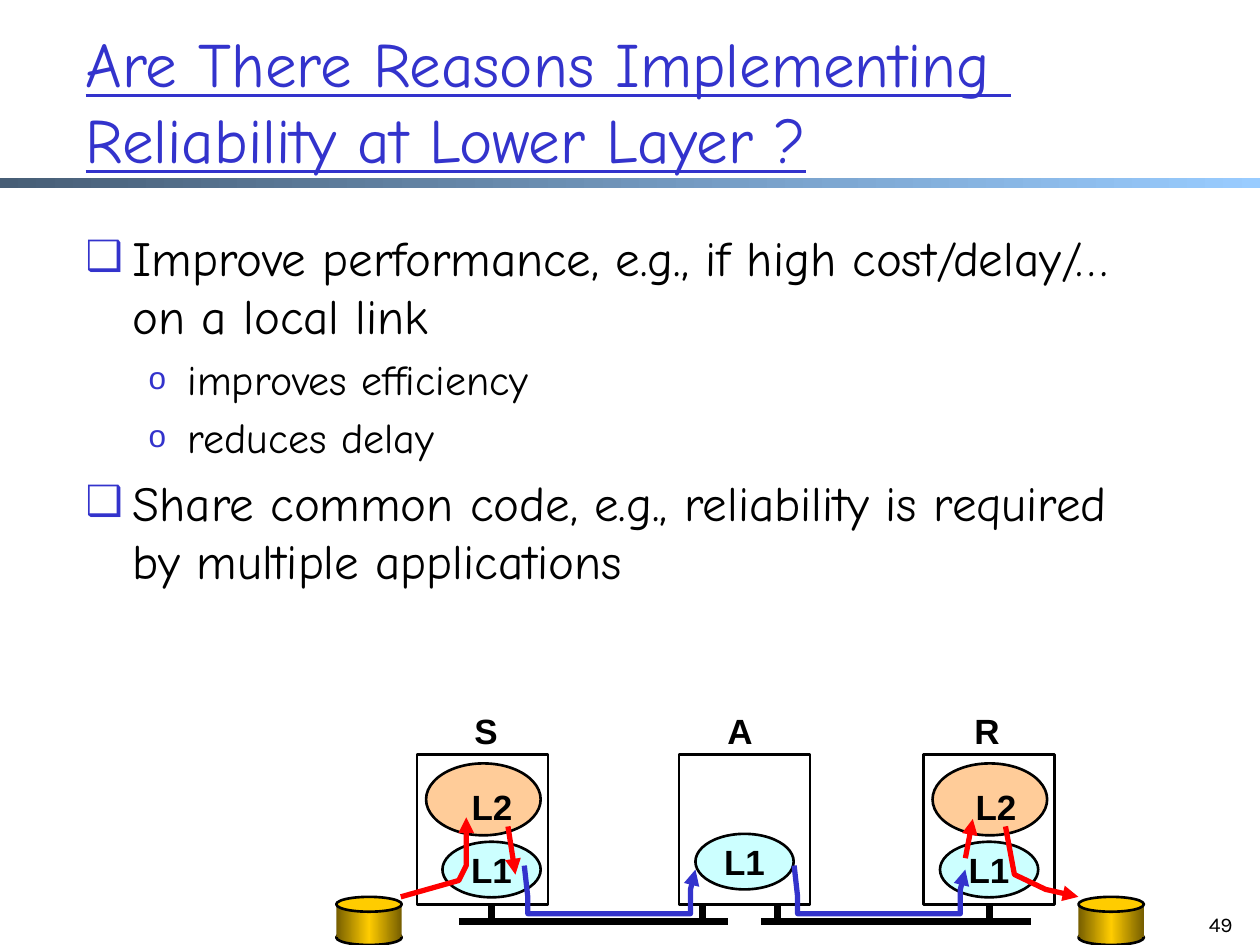
from copy import deepcopy

from lxml.etree import SubElement
from pptx import Presentation
from pptx.dml.color import RGBColor
from pptx.enum.shapes import MSO_CONNECTOR, MSO_SHAPE
from pptx.enum.text import MSO_ANCHOR, MSO_AUTO_SIZE, PP_ALIGN
from pptx.oxml.ns import qn
from pptx.util import Cm, Pt

COLORS = {
    "black": "000000", "blue": "3333CC", "red": "FF0000", "peach": "FFCC99",
    "cyan": "CCFFFF", "gold": "FFCC00", "brown": "765E00",
    "slate": "475E76", "sky": "99CCFF",
}
rgb = {name: RGBColor.from_string(value) for name, value in COLORS.items()}
LABEL = {"name": "Arial", "size": Pt(20), "bold": True}


def style(sp, line=None, width=1.5, fill=None, arrow=False):
    """Set the line and fill (a colour, or a tuple for a gradient); drop the shadow."""
    if isinstance(fill, tuple):
        sp.fill.gradient()
        sp.fill.gradient_angle = 0
        gs_lst = sp._element.spPr.find(qn("a:gradFill")).find(qn("a:gsLst"))
        for _ in fill[2:]:
            gs_lst.append(deepcopy(gs_lst[0]))
        for i, (stop, color) in enumerate(zip(sp.fill.gradient_stops, fill)):
            stop.position = i / (len(fill) - 1)
            stop.color.rgb = rgb[color]
    elif fill:
        sp.fill.solid()
        sp.fill.fore_color.rgb = rgb[fill]
    elif hasattr(sp, "fill"):
        sp.fill.background()
    if line:
        sp.line.color.rgb = rgb[line]
        sp.line.width = Pt(width)
    else:
        sp.line.fill.background()
    if arrow:
        SubElement(sp.line._get_or_add_ln(), qn("a:tailEnd"), type="triangle")
    SubElement(sp._element.spPr, qn("a:effectLst"))


def write(tf, text, font, color="black", align=PP_ALIGN.CENTER):
    """Fill the first paragraph and format its runs."""
    p = tf.paragraphs[0]
    p.text = text
    p.alignment = align
    for r in p.runs:
        for key, value in font.items():
            setattr(r.font, key, value)
        r.font.color.rgb = rgb[color]


prs = Presentation()
prs.slide_width, prs.slide_height = Cm(25.4), Cm(19.05)
s = prs.slides.add_slide(prs.slide_layouts[1])
shapes = s.shapes

# Band under the title
band = shapes.add_shape(MSO_SHAPE.RECTANGLE, 0, Cm(3.58), prs.slide_width, Cm(0.21))
style(band, fill=("slate", "sky"))

# Title and list placeholders
title, body = s.placeholders
for sp, box in ((title, (1.47, 0.43, 21.59, 3.18)), (body, (1.47, 4.45, 22.23, 13.13))):
    sp.left, sp.top, sp.width, sp.height = map(Cm, box)
    sp.text_frame.word_wrap = True
    sp.text_frame.auto_size = MSO_AUTO_SIZE.NONE
title.text_frame.vertical_anchor = MSO_ANCHOR.MIDDLE
write(title.text_frame, "Are There Reasons Implementing \vReliability at Lower Layer ?",
      {"name": "Comic Neue", "size": Pt(36), "underline": True}, "blue", PP_ALIGN.LEFT)

# List: margin, hanging indent, bullet, bullet size and text size by level
LEVELS = [(0.95, -0.95, "❑", "85000", 28), (2.06, -0.79, "o", "75000", 24)]
ITEMS = [
    (0, "Improve performance, e.g., if high cost/delay/… on a local link"),
    (1, "improves efficiency"),
    (1, "reduces delay"),
    (0, "Share common code, e.g., reliability is required by multiple applications"),
]
tf = body.text_frame
for i, (level, text) in enumerate(ITEMS):
    margin, indent, bullet, bullet_size, size = LEVELS[level]
    p = tf.add_paragraph() if i else tf.paragraphs[0]
    p.level = level
    if i == 0:
        p.space_before = Pt(0)
    pPr = p._p.get_or_add_pPr()
    pPr.set("marL", str(Cm(margin)))
    pPr.set("indent", str(Cm(indent)))
    SubElement(SubElement(pPr, qn("a:buClr")), qn("a:srgbClr"), val=COLORS["blue"])
    SubElement(pPr, qn("a:buSzPct"), val=bullet_size)
    SubElement(pPr, qn("a:buFont"), typeface="Arial")
    SubElement(pPr, qn("a:buChar"), char=bullet)
    r = p.add_run()
    r.text = text
    for key, value in {"name": "Comic Neue", "size": Pt(size)}.items():
        setattr(r.font, key, value)
    r.font.color.rgb = rgb["black"]

# Data drums at both ends
METAL = ("brown", "gold", "brown")
for x in (6.78, 21.74):
    for kind, y, h, fill, line in (
        (MSO_SHAPE.OVAL, 18.75, 0.3, METAL, "black"),
        (MSO_SHAPE.RECTANGLE, 18.26, 0.64, METAL, None),
        (MSO_SHAPE.OVAL, 18.08, 0.3, "gold", "black"),
    ):
        sp = shapes.add_shape(kind, Cm(x), Cm(y), Cm(1.32), Cm(h))
        style(sp, line, fill=fill)

# Hosts: name, left, name centre, L1 left and top, L2 label centre
HOSTS = [
    ("S", 8.41, 9.8, 8.92, 16.97, 9.92),
    ("A", 13.69, 14.92, 14.02, 16.81, None),
    ("R", 18.62, 19.9, 18.95, 16.97, 20.08),
]
hosts = {}
for name, x, name_x, l1_x, l1_y, l2_x in HOSTS:
    labels = [(name, name_x, 14.17)]
    if l2_x:
        l2 = shapes.add_shape(MSO_SHAPE.OVAL, Cm(x + 0.18), Cm(15.39), Cm(2.31), Cm(1.45))
        style(l2, "black", fill="peach")
        labels.append(("L2", l2_x, 15.72))
    hosts[name] = shapes.add_shape(MSO_SHAPE.RECTANGLE, Cm(x), Cm(15.21), Cm(2.64), Cm(3.03))
    style(hosts[name], "black")
    l1 = shapes.add_shape(MSO_SHAPE.OVAL, Cm(l1_x), Cm(l1_y), Cm(1.98), Cm(1.12))
    style(l1, "black", fill="cyan")
    l1.text_frame.word_wrap = False
    l1.text_frame.vertical_anchor = MSO_ANCHOR.MIDDLE
    write(l1.text_frame, "L1", LABEL)
    for text, center, y in labels:
        tf = shapes.add_textbox(Cm(center - 0.7), Cm(y), Cm(1.4), Cm(1.1)).text_frame
        tf.word_wrap = False
        write(tf, text, LABEL)

# Links, their stubs and the short red arrows
LINES = [
    (9.25, 18.57, 14.68, 18.57), (15.34, 18.57, 20.78, 18.57),
    *((x, 18.24, x, 18.57) for x in (9.91, 14.17, 15.67, 19.94)),
]
ARROWS = [(10.24, 16.66, 10.39, 17.63), (19.46, 17.3, 19.61, 16.51)]
for ends in LINES + ARROWS:
    c = shapes.add_connector(MSO_CONNECTOR.STRAIGHT, *map(Cm, ends))
    if ends in ARROWS:
        style(c, "red", 3, arrow=True)
    else:
        style(c, "black", 4)
    if ends == LINES[-1]:
        c.begin_connect(hosts["R"], 2)

# Bent arrows: red between drum and layers, blue along each link
HOP = [(10.57, 17.45), (10.64, 18.08), (10.64, 18.42),
       (13.92, 18.42), (13.92, 17.93), (14.02, 17.53)]
ROUTES = [
    ("red", [(8.08, 18.08), (9.25, 17.75), (9.4, 17.45), (9.4, 16.48)]),
    ("red", [(20.27, 16.66), (20.45, 17.63), (21.08, 17.93), (21.74, 18.08)]),
    ("blue", HOP),
    ("blue", [(x + 5.44, y) for x, y in HOP]),
]
for color, points in ROUTES:
    start, *rest = [(Cm(x), Cm(y)) for x, y in points]
    fb = shapes.build_freeform(*start)
    fb.add_line_segments(rest, close=False)
    style(fb.convert_to_shape(), color, 3, arrow=True)

# Page number
tf = shapes.add_textbox(Cm(23.83), Cm(18.26), Cm(1.27), Cm(0.76)).text_frame
tf.word_wrap = True
write(tf, "49", {"name": "Karla", "size": Pt(12)}, align=PP_ALIGN.RIGHT)

prs.save("out.pptx")
